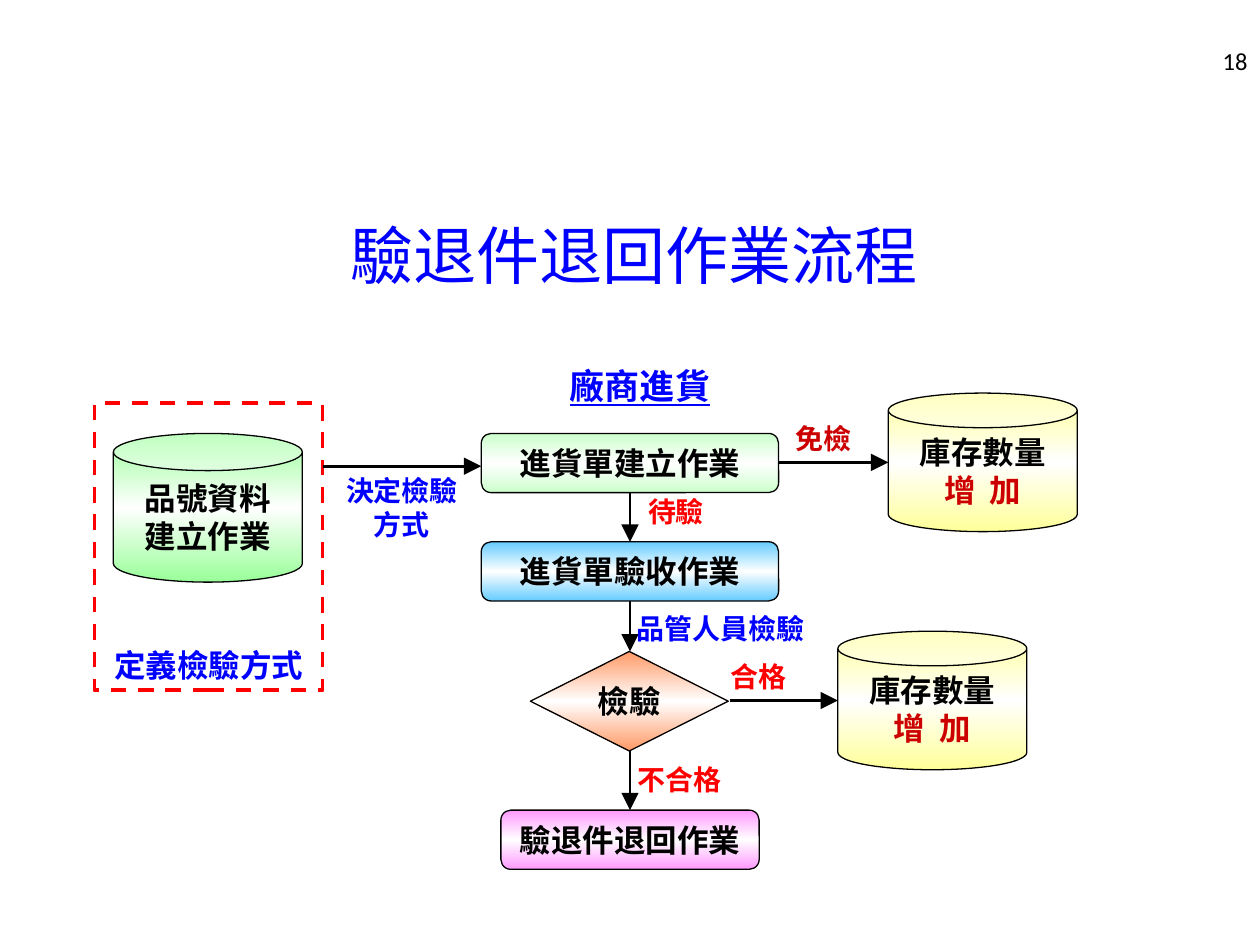
from copy import deepcopy
from dataclasses import dataclass

from pptx import Presentation
from pptx.dml.color import RGBColor
from pptx.enum.dml import MSO_LINE
from pptx.enum.shapes import MSO_CONNECTOR, MSO_SHAPE
from pptx.enum.text import MSO_ANCHOR, PP_ALIGN
from pptx.oxml.ns import qn
from pptx.util import Inches, Pt
from lxml.etree import SubElement

BLACK = RGBColor(0x00, 0x00, 0x00)
WHITE = RGBColor(0xFF, 0xFF, 0xFF)
BLUE = RGBColor(0x00, 0x00, 0xFF)
RED = RGBColor(0xFF, 0x00, 0x00)
DARK_RED = RGBColor(0xCC, 0x00, 0x00)
PALE_GREEN = RGBColor(0xCC, 0xFF, 0xCC)
GREEN = RGBColor(0x99, 0xFF, 0x99)
SKY = RGBColor(0x66, 0xCC, 0xFF)
ORANGE = RGBColor(0xFF, 0x99, 0x66)
PINK = RGBColor(0xFF, 0x99, 0xFF)
YELLOW = RGBColor(0xFF, 0xFF, 0x99)

SERIF, SANS, CJK = "Times New Roman", "Arial", "Noto Sans CJK SC"
FLOW_X = 5  # centre line of the main flow


@dataclass
class Node:
    kind: MSO_SHAPE
    lines: list[str]
    x: float
    y: float
    w: float
    h: float
    color: RGBColor
    font: str = SANS
    last_color: RGBColor = BLACK


@dataclass
class Label:
    lines: list[str]
    x: float
    y: float
    w: float
    h: float
    color: RGBColor
    font: str = SERIF
    size: int = 16
    underline: bool = False


@dataclass
class Arrow:
    x1: float
    y1: float
    x2: float
    y2: float


def step(text: str, y: float, w: float, color: RGBColor) -> Node:
    return Node(MSO_SHAPE.ROUNDED_RECTANGLE, [text], FLOW_X - w / 2, y, w, 0.47, color)


def stock(x: float, y: float) -> Node:
    return Node(MSO_SHAPE.CAN, ["庫存數量", "增  加"], x, y, 1.5, 1.1, YELLOW, CJK, DARK_RED)


NODES = [
    Node(MSO_SHAPE.CAN, ["品號資料", "建立作業"], 0.9, 3.44, 1.5, 1.18, GREEN, CJK),
    step("進貨單建立作業", 3.44, 2.36, PALE_GREEN),
    step("進貨單驗收作業", 4.3, 2.36, SKY),
    Node(MSO_SHAPE.FLOWCHART_DECISION, ["檢驗"], 4.21, 5.17, 1.57, 0.79, ORANGE),
    step("驗退件退回作業", 6.43, 2.05, PINK),
    stock(7.05, 3.12),
    stock(6.65, 5.01),
]

LABELS = [
    Label(["廠商進貨"], 4.45, 2.88, 1.26, 0.36, BLUE, size=20, underline=True),
    Label(["決定檢驗", "方式"], 2.64, 3.75, 1.1, 0.55, BLUE),
    Label(["免檢"], 6.1, 3.3, 0.87, 0.36, DARK_RED),
    Label(["待驗"], 5.05, 3.86, 0.63, 0.39, RED, SANS),
    Label(["品管人員檢驗"], 5.02, 4.81, 1.4, 0.36, BLUE),
    Label(["合格"], 5.47, 5.17, 1.1, 0.39, RED),
    Label(["不合格"], 5.02, 5.99, 0.75, 0.39, RED, SANS),
]

ARROWS = [
    Arrow(2.56, 3.7, 3.82, 3.7),
    Arrow(6.18, 3.67, 7.05, 3.67),
    Arrow(5.79, 5.56, 6.65, 5.56),
    Arrow(FLOW_X, 3.91, FLOW_X, 4.3),
    Arrow(FLOW_X, 4.77, FLOW_X, 5.17),
    Arrow(FLOW_X, 5.95, FLOW_X, 6.43),
]


def write(sp, lines: list[str], *, size: int, font: str, color: RGBColor,
          last_color: RGBColor | None = None, bold: bool = True, underline: bool = False,
          align=PP_ALIGN.CENTER, anchor=MSO_ANCHOR.MIDDLE, wrap: bool = False,
          inset: float = 0, bottom: float = 0) -> None:
    tf = sp.text_frame
    tf.word_wrap = wrap
    tf.vertical_anchor = anchor
    tf.margin_left = tf.margin_right = Inches(inset)
    tf.margin_top, tf.margin_bottom = 0, Inches(bottom)
    for i, text in enumerate(lines):
        p = tf.add_paragraph() if i else tf.paragraphs[0]
        p.alignment = align
        r = p.add_run()
        r.text = text
        f = r.font
        f.size, f.name, f.bold = Pt(size), font, bold
        if underline:
            f.underline = True
        f.color.rgb = last_color if i and last_color is not None else color


def fill_banded(sp, color: RGBColor) -> None:
    """Vertical gradient: colour, white in the middle, colour."""
    sp.fill.gradient()
    sp.fill.gradient_angle = 270
    stops = sp._element.spPr.find(".//" + qn("a:gsLst"))
    stops.insert(1, deepcopy(stops[0]))
    for stop, rgb, pos in zip(sp.fill.gradient_stops, (color, WHITE, color), (0, 0.5, 1)):
        stop.color.rgb = rgb
        stop.position = pos


def add_node(s, n: Node) -> None:
    sp = s.shapes.add_shape(n.kind, Inches(n.x), Inches(n.y), Inches(n.w), Inches(n.h))
    sp.shadow.inherit = False
    fill_banded(sp, n.color)
    sp.line.color.rgb = BLACK
    sp.line.width = Pt(0.75)
    write(sp, n.lines, size=18, font=n.font, color=BLACK, last_color=n.last_color)


def add_label(s, b: Label) -> None:
    sp = s.shapes.add_textbox(Inches(b.x), Inches(b.y), Inches(b.w), Inches(b.h))
    write(sp, b.lines, size=b.size, font=b.font, color=b.color, underline=b.underline)


def add_arrow(s, a: Arrow) -> None:
    c = s.shapes.add_connector(MSO_CONNECTOR.STRAIGHT, Inches(a.x1), Inches(a.y1),
                               Inches(a.x2), Inches(a.y2))
    c.line.color.rgb = BLACK
    c.line.width = Pt(1.5)
    SubElement(c.line._get_or_add_ln(), qn("a:tailEnd"), type="triangle", w="lg", len="lg")
    SubElement(c._element.spPr, qn("a:effectLst"))


def add_definition_frame(s) -> None:
    sp = s.shapes.add_shape(MSO_SHAPE.RECTANGLE, Inches(0.75), Inches(3.2),
                            Inches(1.81), Inches(2.28))
    sp.shadow.inherit = False
    sp.fill.solid()
    sp.fill.fore_color.rgb = WHITE
    sp.line.color.rgb = RED
    sp.line.width = Pt(2.25)
    sp.line.dash_style = MSO_LINE.DASH
    write(sp, ["定義檢驗方式"], size=18, font=SERIF, color=BLUE, anchor=MSO_ANCHOR.BOTTOM,
          bottom=0.05)


def main() -> None:
    prs = Presentation()
    prs.slide_width, prs.slide_height = Inches(10), Inches(7.5)
    s = prs.slides.add_slide(prs.slide_layouts[5])

    title = s.shapes.title
    title.left, title.top = Inches(0.43), Inches(1.47)
    title.width, title.height = Inches(9.21), Inches(1.1)
    write(title, ["驗退件退回作業流程"], size=36, font=SERIF, color=BLUE, bold=False, wrap=True)

    number = s.shapes.add_textbox(Inches(7.67), Inches(0.28), Inches(2.33), Inches(0.4))
    write(number, ["18"], size=14, font="Calibri", color=BLACK, bold=False,
          align=PP_ALIGN.RIGHT, wrap=True, inset=0.1)

    add_definition_frame(s)
    for node in NODES:
        add_node(s, node)
    for arrow in ARROWS:
        add_arrow(s, arrow)
    for label in LABELS:
        add_label(s, label)
    prs.save("out.pptx")


if __name__ == "__main__":
    main()
